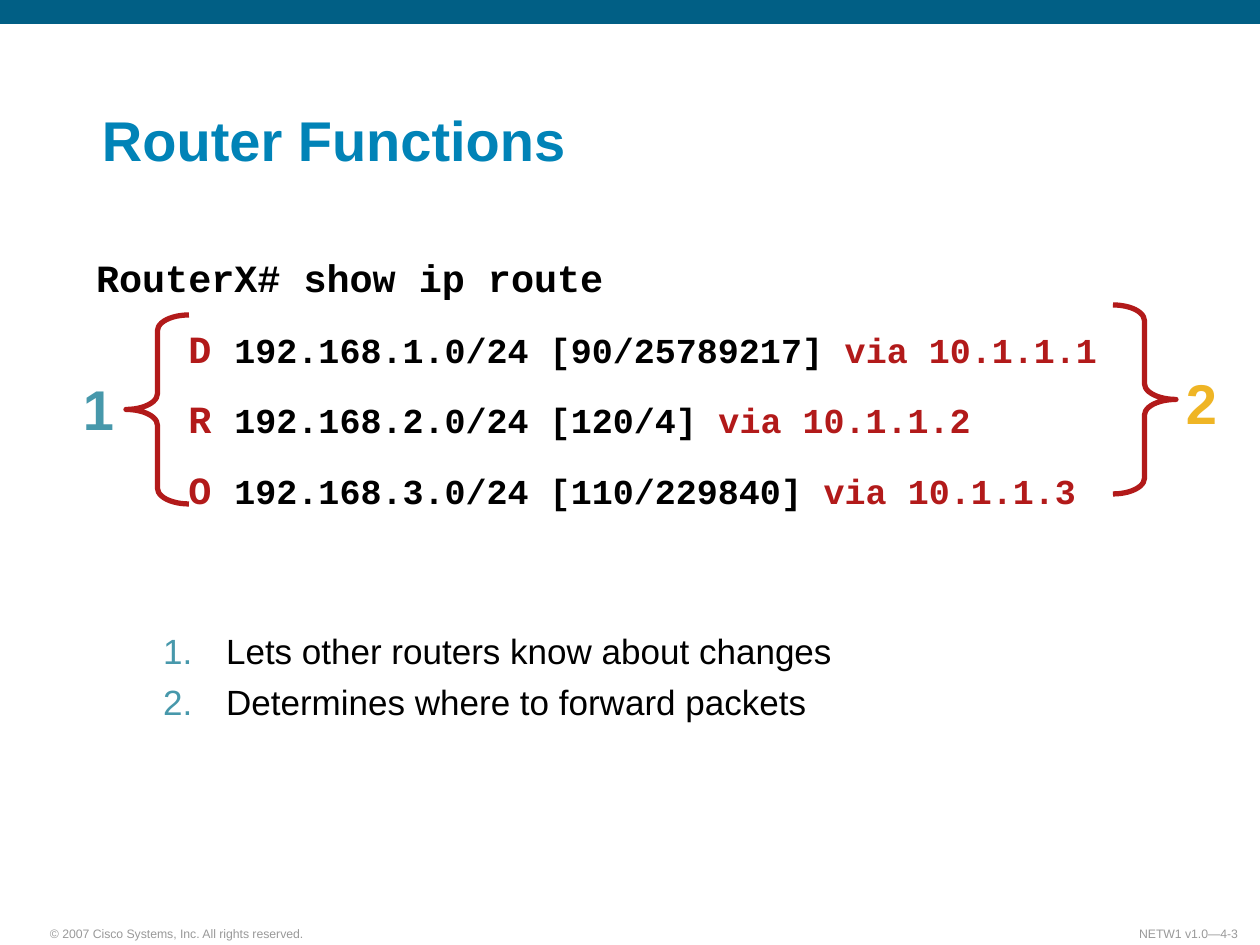
from pptx import Presentation
from pptx.dml.color import RGBColor as Rgb
from pptx.enum.shapes import MSO_SHAPE as Kind
from pptx.enum.text import MSO_ANCHOR as Anchor, MSO_AUTO_SIZE as Fit, PP_ALIGN as Align
from pptx.oxml import parse_xml
from pptx.oxml.ns import nsdecls
from pptx.util import Emu, Pt

SCALE = 914400 / 126
RED, BLACK, GREY, TEAL, GOLD = "B21A1A", "000000", "999999", "4798AB", "EFB525"
ROUTES = [
    ("D", "192.168.1.0/24 [90/25789217]", "10.1.1.1"),
    ("R", "192.168.2.0/24 [120/4]", "10.1.1.2"),
    ("O", "192.168.3.0/24 [110/229840]", "10.1.1.3"),
]
STEPS = ["Lets other routers know about changes", "Determines where to forward packets"]


def px(n):
    return Emu(round(n * SCALE))


def paint(code):
    return Rgb.from_string(code)


def style(font, color, **form):
    for key, value in form.items():
        setattr(font, key, value)
    font.color.rgb = paint(color)


def place(shape, box):
    for key, value in zip(("left", "top", "width", "height"), box):
        setattr(shape, key, px(value))


def setup(shape, **form):
    base = dict(word_wrap=True, auto_size=Fit.NONE, vertical_anchor=Anchor.TOP,
                margin_left=px(11), margin_right=px(11),
                margin_top=px(5), margin_bottom=px(5))
    for key, value in {**base, **form}.items():
        setattr(shape.text_frame, key, value)
    return shape.text_frame


def label(slide, box, text, color, size, bold=False, align=Align.LEFT, **form):
    frame = setup(slide.shapes.add_textbox(*map(px, box)), **form)
    para = frame.paragraphs[0]
    para.text, para.alignment = text, align
    style(para.font, color, name="Arial", size=Pt(size), bold=bold)


def frame_page(slide, box):
    left, top, width, height = box
    bar = slide.shapes.add_shape(Kind.RECTANGLE, *map(px, (left, top, width, 24)))
    bar.shadow.inherit = False
    bar.fill.solid()
    bar.fill.fore_color.rgb = paint("015F85")
    bar.line.fill.background()
    foot = dict(word_wrap=False, vertical_anchor=Anchor.BOTTOM)
    base = top + height - 25
    label(slide, (left + 39, base, 277, 26),
          "© 2007 Cisco Systems, Inc. All rights reserved.", GREY, 7, **foot)
    label(slide, (left + width - 175, base, 164, 26),
          "NETW1 v1.0—4-3", GREY, 7, align=Align.RIGHT, **foot)


def head(slide, box):
    title = slide.shapes.title
    place(title, box)
    para = setup(title, vertical_anchor=Anchor.BOTTOM).paragraphs[0]
    para.text, para.alignment, para.line_spacing = "Router Functions", Align.LEFT, 0.9
    style(para.font, "0183B7", name="Arial", size=Pt(32), bold=True)


def brace(slide, kind, box):
    shape = slide.shapes.add_shape(kind, *map(px, box))
    shape.shadow.inherit = False
    shape.adjustments[0] = 0.25
    shape.fill.background()
    shape.line.color.rgb = paint(RED)
    shape.line.width = Pt(3)


def console(slide, box):
    left, top, width, height = box
    frame = setup(slide.shapes.add_textbox(*map(px, box)),
                  margin_left=px(10), margin_right=px(10))
    lines = [[(" RouterX# show ip route", 22, BLACK)]]
    lines += [[("     ", 22, BLACK), (code + " ", 22, RED), (net + " ", 20, BLACK),
               ("via " + hop, 20, RED)] for code, net, hop in ROUTES]
    for i, line in enumerate(lines):
        para = frame.add_paragraph() if i else frame.paragraphs[0]
        if i:
            para.space_before = Pt(14)
        for text, size, color in line:
            run = para.add_run()
            run.text = text
            style(run.font, color, name="Courier New", size=Pt(size), bold=True)
    brace(slide, Kind.LEFT_BRACE, (left + 63, top + 66, 63, 189))
    brace(slide, Kind.RIGHT_BRACE, (left + 1050, top + 56, 63, 189))
    for text, color, x, y in (("1", TEAL, 10, 121), ("2", GOLD, 1113, 115)):
        label(slide, (left + x, top + y, 50, 77), text, color, 32, True,
              margin_left=px(10), margin_right=px(0))


def steps(slide, box):
    body = slide.placeholders[1]
    place(body, box)
    frame = setup(body, margin_top=px(6), margin_bottom=px(6))
    for i, text in enumerate(STEPS):
        para = frame.add_paragraph() if i else frame.paragraphs[0]
        para.text = text
        props = para._p.get_or_add_pPr()
        props.set("marL", str(px(79)))
        props.set("indent", str(px(-63)))
        props.append(parse_xml(f'<a:buClr {nsdecls("a")}><a:srgbClr val="{TEAL}"/></a:buClr>'))
        props.append(parse_xml(f'<a:buAutoNum {nsdecls("a")} type="arabicPeriod"/>'))
        para.line_spacing = 0.85
        para.space_before = Pt(8.8 if i else 0)
        style(para.font, BLACK, name="Arial", size=Pt(20))


def main():
    deck = Presentation()
    deck.slide_width, deck.slide_height = px(1260), px(945)
    slide = deck.slides.add_slide(deck.slide_layouts[1])
    frame_page(slide, (0, 0, 1260, 945))
    console(slide, (63, 249, 1176, 261))
    steps(slide, (136, 630, 977, 147))
    head(slide, (91, 63, 1123, 116))
    deck.save("out.pptx")


if __name__ == "__main__":
    main()
